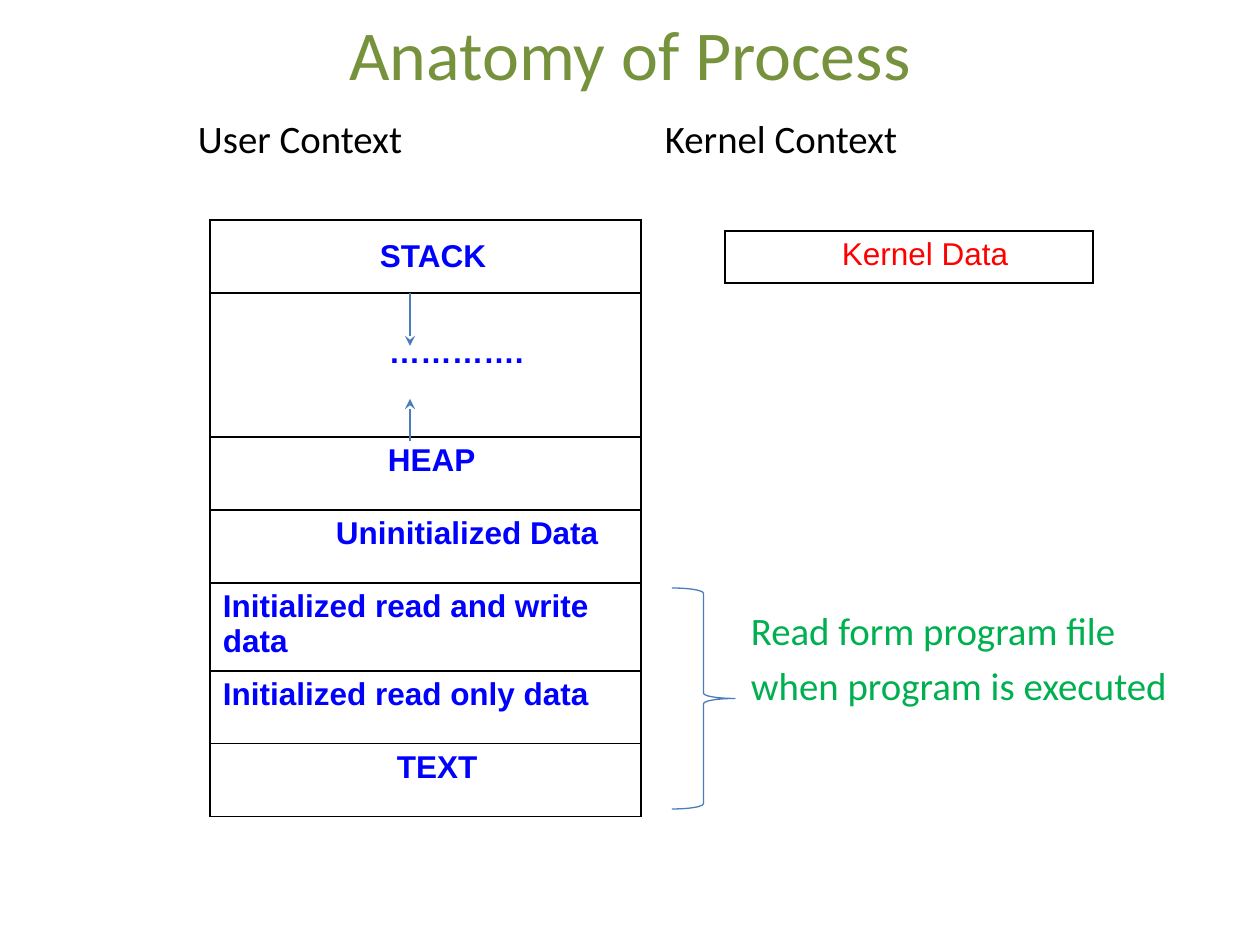
from lxml.etree import SubElement
from pptx import Presentation
from pptx.dml.color import RGBColor
from pptx.enum.shapes import MSO_CONNECTOR, MSO_SHAPE
from pptx.enum.text import MSO_ANCHOR, PP_ALIGN
from pptx.oxml.ns import qn
from pptx.util import Emu, Pt

EMU_PER_PX = 914400 / 126
BLACK, BLUE, RED = "000000", "0000FF", "FF0000"
OLIVE, GREEN, LINE_BLUE = "76923C", "00B050", "4A7DBA"
MEMORY_ROWS = [
    ("STACK", 73, 170, 6),
    ("………….", 144, 179, 42),
    ("HEAP", 73, 178, 6),
    ("Uninitialized Data", 73, 126, 6),
    ("Initialized read and write data", 83, 13, 6),
    ("Initialized read only data", 73, 13, 6),
    ("TEXT", 73, 187, 6),
]


def px(length):
    """Turn pixels into EMU."""
    return Emu(round(length * EMU_PER_PX))


def color(hex_string):
    """Turn a hex string into a colour."""
    return RGBColor.from_string(hex_string)


def style(paragraph, name, size, hex_string, bold=False):
    """Set the font of a paragraph."""
    font = paragraph.font
    font.name, font.size, font.bold = name, Pt(size), bold
    font.color.rgb = color(hex_string)


def add_text(slide, box, lines, size, hex_string, align=PP_ALIGN.LEFT):
    """Place lines of text, one paragraph each, in a box without margins."""
    frame = slide.shapes.add_textbox(*map(px, box)).text_frame
    frame.word_wrap = True
    frame.vertical_anchor = MSO_ANCHOR.TOP
    frame.margin_left = frame.margin_right = frame.margin_top = frame.margin_bottom = 0
    frame.text = "\n".join(lines)
    for paragraph in frame.paragraphs:
        paragraph.alignment = align
        style(paragraph, "Calibri", size, hex_string)
    for paragraph in frame.paragraphs[1:]:
        paragraph.space_before = Pt(4.4)
    return frame


def add_borders(cell):
    """Draw a black line of one point on each side of a cell."""
    properties = cell._tc.get_or_add_tcPr()
    for index, side in enumerate(("a:lnL", "a:lnR", "a:lnT", "a:lnB")):
        line = properties.makeelement(qn(side), {"w": str(Pt(1))})
        properties.insert(index, line)
        fill = SubElement(line, qn("a:solidFill"))
        SubElement(fill, qn("a:srgbClr"), val=BLACK)


def add_column(slide, left, top, width, rows, hex_string, bold):
    """Place a table of one column whose rows give text, height, indent and top margin."""
    height = sum(row[1] for row in rows)
    box = map(px, (left, top, width, height))
    table = slide.shapes.add_table(len(rows), 1, *box).table
    table.first_row = table.horz_banding = False
    for index, (text, row_height, indent, margin_top) in enumerate(rows):
        table.rows[index].height = px(row_height)
        cell = table.cell(index, 0)
        cell.text = text
        cell.margin_left, cell.margin_top = px(indent), px(margin_top)
        cell.fill.background()
        style(cell.text_frame.paragraphs[0], "Arial", 18, hex_string, bold)
        add_borders(cell)
    return table


def add_arrow(slide, x, start, end):
    """Draw a vertical arrow that points to its end."""
    arrow = slide.shapes.add_connector(
        MSO_CONNECTOR.STRAIGHT, px(x), px(start), px(x), px(end))
    arrow.line.color.rgb = color(LINE_BLUE)
    arrow.line.width = Pt(0.75)
    SubElement(arrow.line._get_or_add_ln(), qn("a:tailEnd"), type="stealth")
    SubElement(arrow._element.spPr, qn("a:effectLst"))


def add_title(slide, left, top, width, height):
    """Place the centred slide title."""
    box = (left, top, width, height)
    frame = add_text(slide, box, ["Anatomy of Process"], 40, OLIVE, PP_ALIGN.CENTER)
    frame.vertical_anchor = MSO_ANCHOR.MIDDLE


def add_user_context(slide, left, top, width):
    """Place the user context label, memory layout and growth arrows."""
    add_text(slide, (left - 12, top, width, 48), ["User Context"], 22.2, BLACK)
    table_top = top + 105
    table = add_column(slide, left, table_top, width, MEMORY_ROWS, BLUE, True)
    table.cell(0, 0).vertical_anchor = MSO_ANCHOR.MIDDLE
    add_arrow(slide, left + 200, table_top + 73, table_top + 126)
    add_arrow(slide, left + 200, table_top + 221, table_top + 179)


def add_kernel_context(slide, left, top, width):
    """Place the kernel context label and its data cell."""
    add_text(slide, (left, top, width, 48), ["Kernel Context"], 22.2, BLACK)
    rows = [("Kernel Data", 52, 117, 6)]
    add_column(slide, left + 60, top + 116, 368, rows, RED, False)


def add_program_note(slide, left, top, width, height):
    """Place the brace and the note on what is read from the file."""
    brace = slide.shapes.add_shape(
        MSO_SHAPE.RIGHT_BRACE, *map(px, (left, top, 63, height)))
    brace.shadow.inherit = False
    brace.fill.background()
    brace.line.color.rgb = color(LINE_BLUE)
    brace.line.width = Pt(0.75)
    lines = ["Read form program file", "when program is executed"]
    add_text(slide, (left + 79, top + 19, width - 79, 103), lines, 22.2, GREEN)


def main():
    """Build and save the slide."""
    presentation = Presentation()
    presentation.slide_width, presentation.slide_height = px(1260), px(945)
    slide = presentation.slides.add_slide(presentation.slide_layouts[6])
    add_title(slide, 63, 0, 1134, 105)
    add_user_context(slide, 210, 115, 431)
    add_kernel_context(slide, 665, 115, 428)
    add_program_note(slide, 672, 588, 546, 221)
    presentation.save("out.pptx")


if __name__ == "__main__":
    main()
